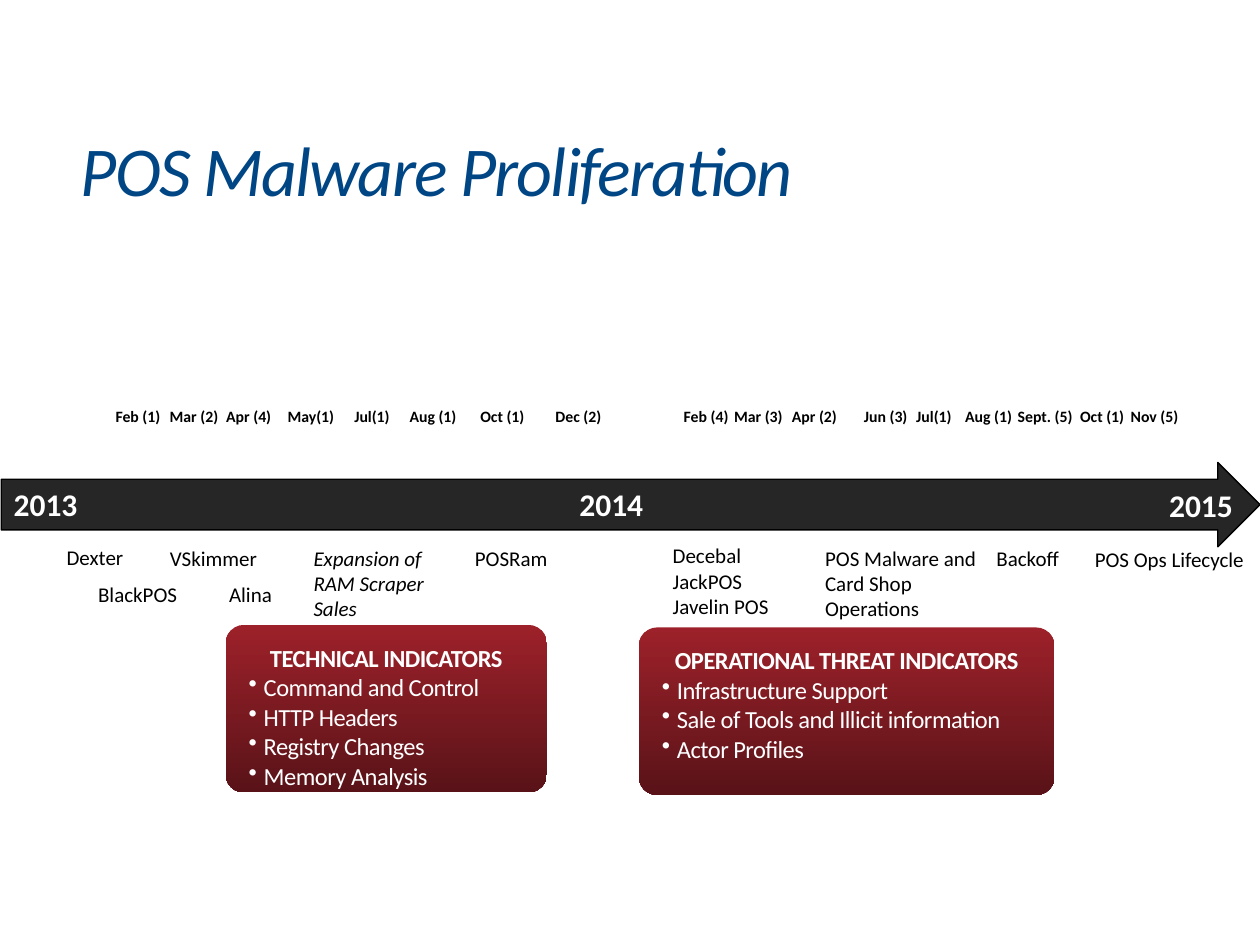
from lxml.etree import SubElement
from pptx import Presentation
from pptx.dml.color import RGBColor
from pptx.enum.shapes import MSO_SHAPE
from pptx.enum.text import MSO_ANCHOR, PP_ALIGN
from pptx.oxml.ns import qn
from pptx.util import Inches, Pt

BLUE = RGBColor(0x00, 0x46, 0x85)
BLACK = RGBColor(0x00, 0x00, 0x00)
WHITE = RGBColor(0xFF, 0xFF, 0xFF)
CHARCOAL = RGBColor(0x26, 0x26, 0x26)
RED = RGBColor(0x9D, 0x21, 0x2A)
MAROON = RGBColor(0x59, 0x13, 0x18)

# Left, width, label
MONTHS = [
    (0.69, 0.68, "Feb (1)"), (1.15, 0.68, "Mar (2)"), (1.66, 0.59, "Apr (4)"),
    (2.08, 0.67, "May(1)"), (2.6, 0.59, "Jul(1)"), (3.03, 0.69, "Aug (1)"),
    (3.66, 0.6, "Oct (1)"), (4.27, 0.6, "Dec (2)"), (5.28, 0.6, "Feb (4)"),
    (5.71, 0.6, "Mar (3)"), (6.14, 0.6, "Apr (2)"), (6.7, 0.6, "Jun (3)"),
    (7.06, 0.59, "Jul(1)"), (7.53, 0.6, "Aug (1)"), (7.95, 0.66, "Sept. (5)"),
    (8.42, 0.6, "Oct (1)"), (8.85, 0.6, "Nov (5)"),
]
YEARS = [(0.01, 3.8, "2013"), (4.5, 3.8, "2014"), (9.18, 3.81, "2015")]
# Left, top, width, height, label, italic
EVENTS = [
    (0.43, 4.27, 1.41, 0.3, "Dexter", False),
    (1.25, 4.28, 1.41, 0.3, "VSkimmer", False),
    (0.68, 4.57, 1.41, 0.3, "BlackPOS", False),
    (1.72, 4.57, 0.94, 0.3, "Alina", False),
    (2.39, 4.28, 1.34, 0.71, "Expansion of RAM Scraper Sales", True),
    (3.67, 4.28, 1.41, 0.3, "POSRam", False),
    (5.24, 4.26, 1.41, 0.71, "Decebal\nJackPOS\nJavelin POS", False),
    (6.45, 4.28, 1.58, 0.71, "POS Malware and Card Shop Operations", False),
    (7.81, 4.28, 1.41, 0.3, "Backoff", False),
    (8.59, 4.29, 1.41, 0.3, "POS Ops Lifecycle", False),
]
PANELS = [
    ((1.79, 4.96, 2.55, 1.33), "TECHNICAL INDICATORS",
     ["Command and Control", "HTTP Headers", "Registry Changes", "Memory Analysis"]),
    ((5.07, 4.98, 3.3, 1.33), "OPERATIONAL THREAT INDICATORS",
     ["Infrastructure Support", "Sale of Tools and Illicit information", "Actor Profiles"]),
]


def inches(box):
    return [Inches(length) for length in box]


def style(para, size, color, bold=False, italic=False, spacing=0):
    """Format every run; spacing is in points."""
    for span in para.runs:
        font = span.font
        font.name, font.size = "Calibri", Pt(size)
        font.bold, font.italic = bold, italic
        font.color.rgb = color
        if spacing:
            font._element.set("spc", str(round(spacing * 100)))


def add_label(page, box, text, size, color, align=PP_ALIGN.LEFT, **look):
    frame = page.shapes.add_textbox(*inches(box)).text_frame
    frame.word_wrap = True
    frame.text = text
    for para in frame.paragraphs:
        para.alignment = align
        style(para, size, color, **look)


def add_bullet(para):
    properties = para._p.get_or_add_pPr()
    properties.set("marL", str(Inches(0.12)))
    properties.set("indent", str(-Inches(0.12)))
    SubElement(properties, qn("a:buChar")).set("char", "•")


def place_title(page, box):
    title = page.shapes.title
    title.left, title.top, title.width, title.height = inches(box)
    frame = title.text_frame
    frame.text = "POS Malware Proliferation"
    frame.vertical_anchor = MSO_ANCHOR.MIDDLE
    frame.paragraphs[0].alignment = PP_ALIGN.LEFT
    style(frame.paragraphs[0], 40, BLUE, italic=True, spacing=-1)


def add_timeline(page, box):
    arrow = page.shapes.add_shape(MSO_SHAPE.RIGHT_ARROW, *inches(box))
    arrow.shadow.inherit = False
    arrow.adjustments[0], arrow.adjustments[1] = 0.6, 0.5
    arrow.fill.solid()
    arrow.fill.fore_color.rgb = CHARCOAL
    arrow.line.color.rgb = BLACK
    arrow.line.width = Pt(0.75)
    for left, top, year in YEARS:
        add_label(page, (left, top, 0.79, 0.4), year, 18, WHITE, bold=True)


def add_months(page, top):
    for left, width, month in MONTHS:
        add_label(page, (left, top, width, 0.39), month, 9, BLACK, PP_ALIGN.RIGHT, bold=True)


def add_events(page):
    for *box, text, italic in EVENTS:
        add_label(page, box, text, 12, BLACK, italic=italic)


def add_panel(page, box, heading, items):
    panel = page.shapes.add_shape(MSO_SHAPE.ROUNDED_RECTANGLE, *inches(box))
    panel.shadow.inherit = False
    panel.adjustments[0] = 0.11
    panel.line.fill.background()
    # Red at the top, maroon at the bottom
    panel.fill.gradient()
    panel.fill.gradient_angle = 270
    for stop, color in zip(panel.fill.gradient_stops, (RED, MAROON)):
        stop.color.rgb = color

    frame = panel.text_frame
    frame.word_wrap = True
    frame.vertical_anchor = MSO_ANCHOR.TOP
    frame.margin_left = frame.margin_right = Inches(0.14)
    frame.margin_top = frame.margin_bottom = Inches(0.1)
    frame.text = "\n".join([heading, *items])
    first, *rest = frame.paragraphs
    first.alignment = PP_ALIGN.CENTER
    style(first, 14, WHITE, bold=True, spacing=-0.3)
    for para in rest:
        para.alignment = PP_ALIGN.LEFT
        add_bullet(para)
        style(para, 14, WHITE, spacing=-0.3)


def main():
    deck = Presentation()
    deck.slide_width, deck.slide_height = Inches(10), Inches(7.5)
    page = deck.slides.add_slide(deck.slide_layouts[5])
    place_title(page, (0.54, 0.83, 7.41, 1.02))
    add_timeline(page, (0.01, 3.67, 9.99, 0.67))
    add_months(page, 3.18)
    add_events(page)
    for box, heading, items in PANELS:
        add_panel(page, box, heading, items)
    deck.save("out.pptx")


if __name__ == "__main__":
    main()
